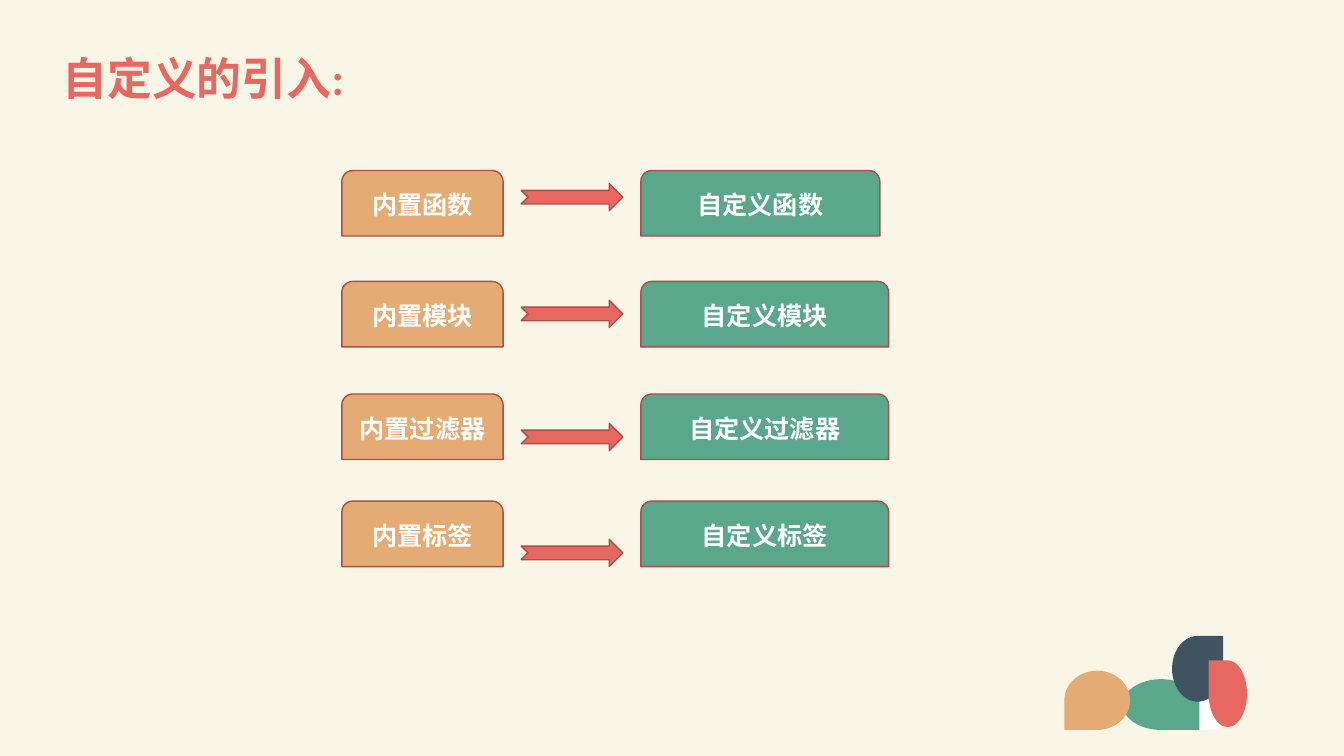
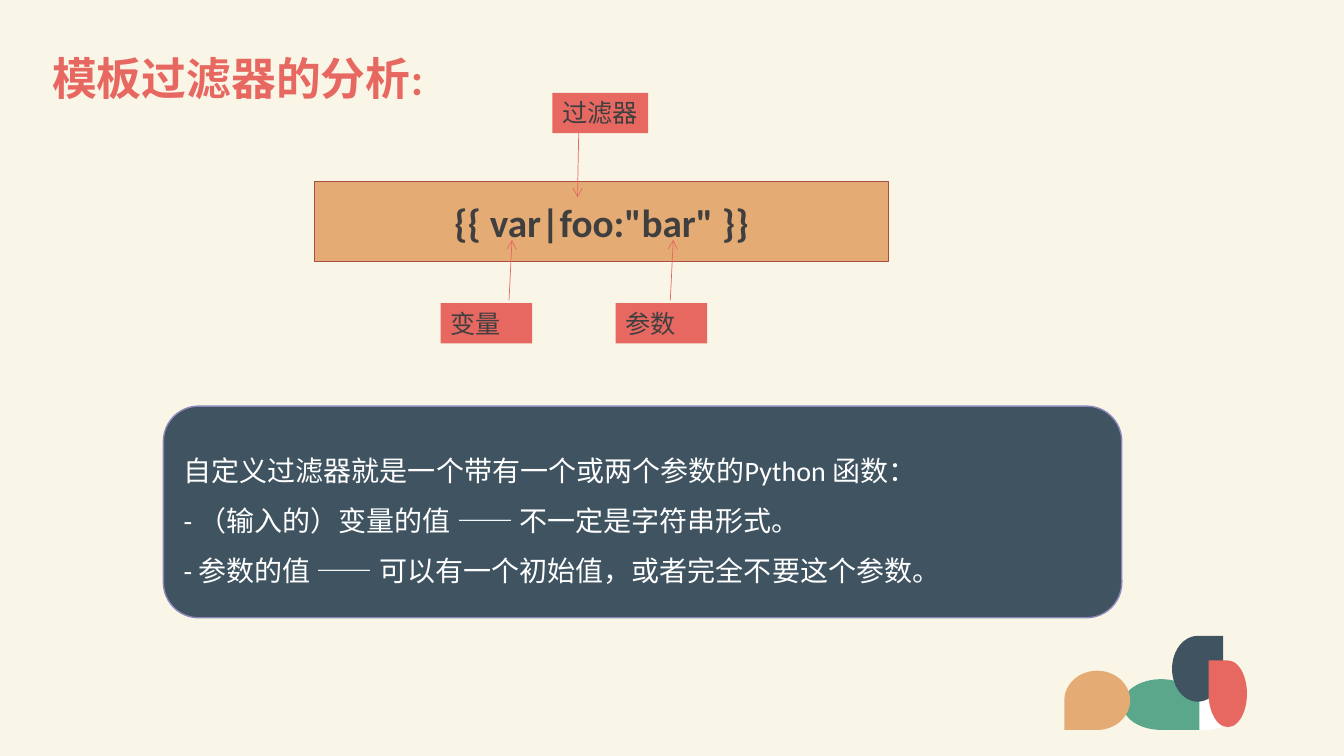
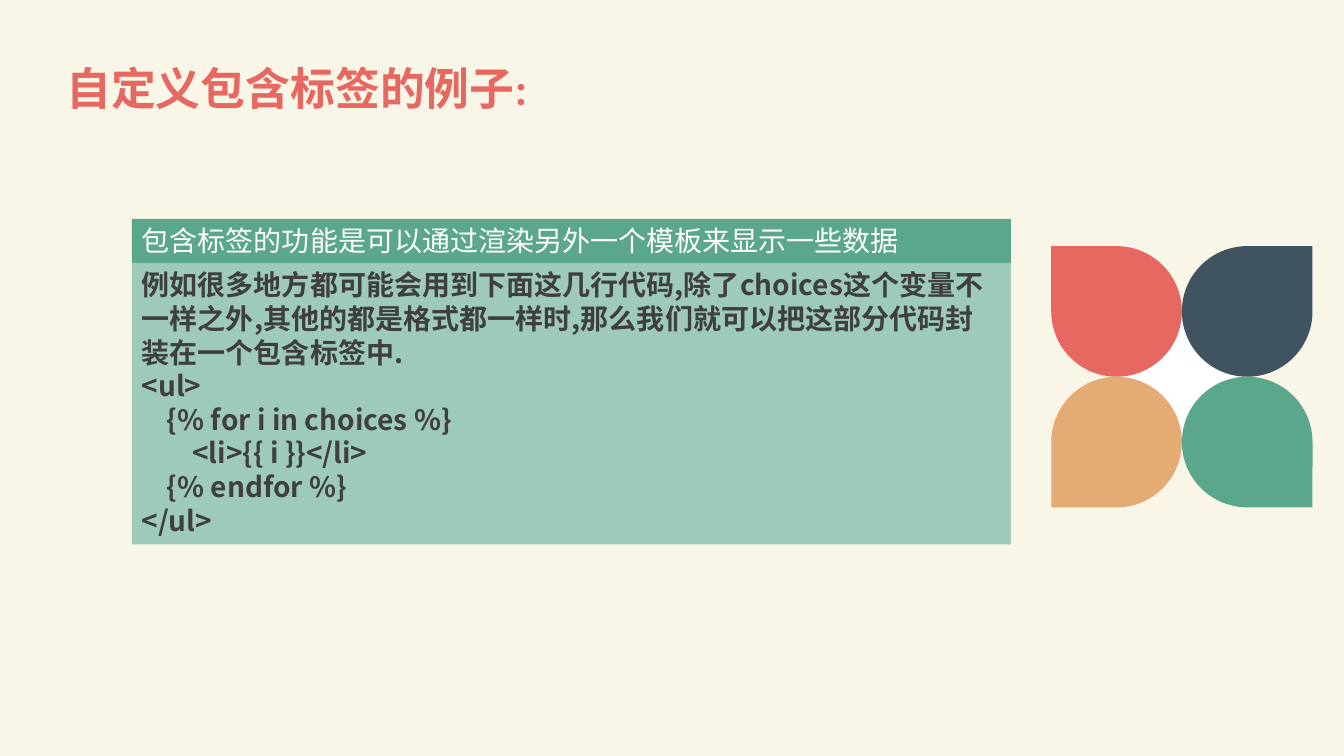
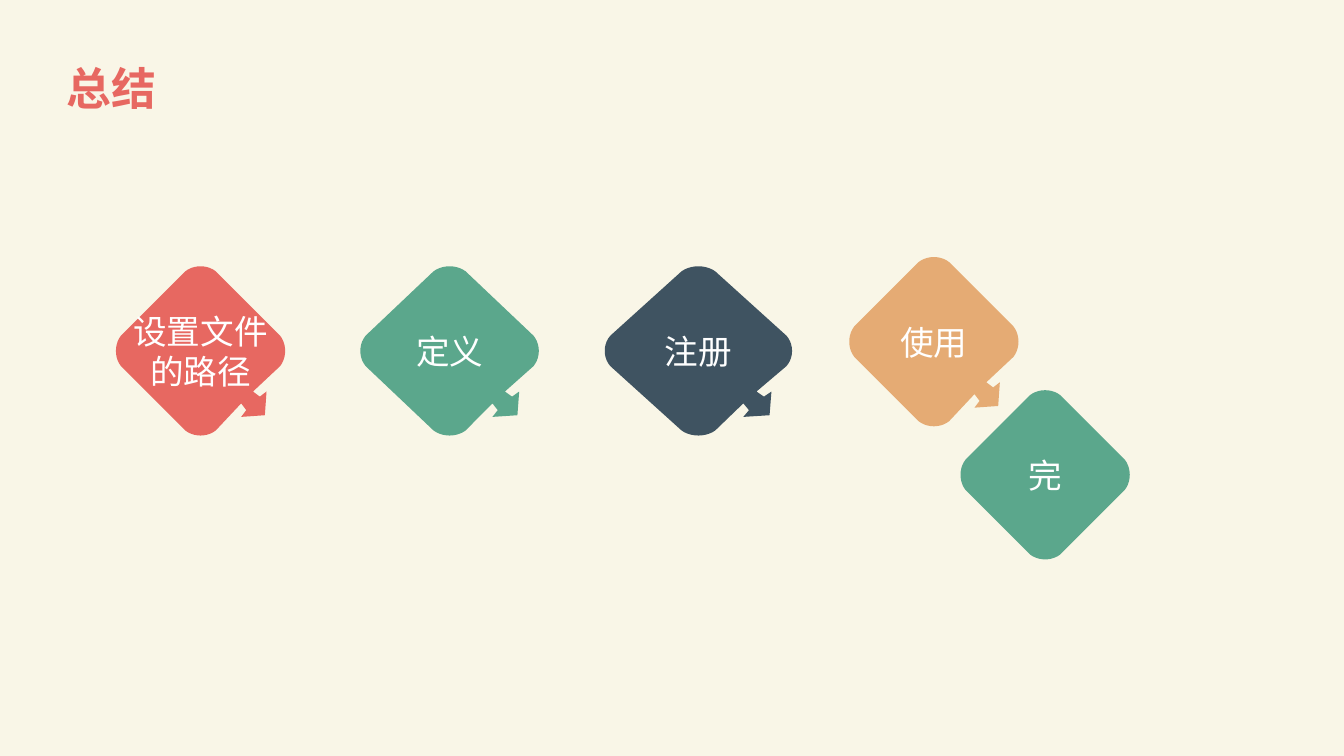
from lxml.etree import SubElement
from pptx import Presentation
from pptx.dml.color import RGBColor
from pptx.enum.shapes import MSO_CONNECTOR, MSO_SHAPE
from pptx.enum.text import MSO_ANCHOR, MSO_AUTO_SIZE, PP_ALIGN
from pptx.oxml.ns import qn
from pptx.util import Emu, Pt

COLORS = {
    "cream": "F9F6E7", "white": "FFFFFF", "ink": "3F3F3F",
    "coral": "E76861", "green": "5BA78C", "mint": "9DCABA",
    "navy": "3F5361", "sand": "E5AB74", "brick": "AB4D48", "lilac": "8D86BA",
}

# The slide is a grid of 32 columns by 18 rows of square cells.
COLUMNS, ROWS, CELL = 32, 18, 381000

# Rotation that turns each petal's tip outwards
PETAL_TURN = {"green": 90, "navy": 0, "coral": 270, "sand": 180}

# Petals and white core, as shares of the cluster's box
CORNER_CLUSTER = {
    "white": (.6, .68, .33, .32), "green": (.32, .46, .42, .54),
    "navy": (.59, 0, .28, .7), "coral": (.79, .26, .21, .71),
    "sand": (0, .37, .36, .63),
}
FLOWER_CLUSTER = {
    "white": (.25, .25, .48, .48), "green": (.5, .5, .5, .5),
    "navy": (.5, 0, .5, .5), "coral": (0, 0, .5, .5),
    "sand": (0, .5, .5, .5),
}
CORNER_BOX = (25.34, 15.14, 4.35, 2.24)
FLOWER_BOX = (25.03, 5.86, 6.22, 6.22)


def rgb(name):
    return RGBColor.from_string(COLORS[name])


def cells(*lengths):
    return [Emu(round(length * CELL)) for length in lengths]


def within(box, shares):
    """Turn shares of a box into a box on the grid."""
    left, top, width, height = box
    x, y, w, h = shares
    return left + x * width, top + y * height, w * width, h * height


def paint(shape, fill, line=None):
    shape.shadow.inherit = False
    shape.fill.solid()
    shape.fill.fore_color.rgb = rgb(fill)
    if line:
        shape.line.color.rgb = rgb(line)
        shape.line.width = Pt(1)
    else:
        shape.line.fill.background()
    return shape


def block(slide, preset, box, fill, line=None):
    return paint(slide.shapes.add_shape(preset, *cells(*box)), fill, line)


def write(shape, text, size, color="white", bold=False, font="Calibri",
          align=PP_ALIGN.CENTER, anchor=MSO_ANCHOR.MIDDLE, spacing=None):
    frame = shape.text_frame
    frame.text = text
    frame.word_wrap = True
    frame.auto_size = MSO_AUTO_SIZE.NONE
    frame.vertical_anchor = anchor
    for paragraph in frame.paragraphs:
        paragraph.alignment = align
        paragraph.line_spacing = spacing
        for run in paragraph.runs:
            run.font.name = font
            run.font.size = Pt(size)
            run.font.bold = bold
            run.font.color.rgb = rgb(color)
    return frame


def titled_slide(deck, title, left, top):
    slide = deck.slides.add_slide(deck.slide_layouts[5])
    heading = slide.shapes.title
    heading.left, heading.top, heading.width, heading.height = cells(
        left, top, 29.5, 2.54)
    write(heading, title, 32, "coral", True, align=PP_ALIGN.LEFT, spacing=.9)
    return slide


def petals(slide, box, cluster):
    for color, shares in cluster.items():
        x, y, w, h = within(box, shares)
        turn = PETAL_TURN.get(color)
        if turn is None:
            block(slide, MSO_SHAPE.OVAL, (x, y, w, h), color)
            continue
        if turn % 180:  # a quarter turn swaps width and height
            x, y, w, h = x + (w - h) / 2, y + (h - w) / 2, h, w
        block(slide, MSO_SHAPE.TEAR, (x, y, w, h), color).rotation = turn


# Built-in thing, arrow, custom thing
def pair_row(slide, box, topic, arrow_drop, custom_width):
    left, top, width, height = box
    custom_left = left + width - 5.9
    for x, w, prefix, color in ((left, 3.84, "内置", "sand"),
                                (custom_left, custom_width, "自定义", "green")):
        card = block(slide, MSO_SHAPE.ROUND_2_SAME_RECTANGLE,
                     (x, top, w, height), color, "brick")
        write(card, prefix + topic, 18, bold=True)
    block(slide, MSO_SHAPE.NOTCHED_RIGHT_ARROW,
          (left + 4.27, top + arrow_drop, 2.42, .65), "coral", "brick")


def pointer(slide, start, end):
    arrow = slide.shapes.add_connector(MSO_CONNECTOR.STRAIGHT,
                                       *cells(*start, *end))
    arrow.line.color.rgb = rgb("coral")
    arrow.line.width = Pt(.5)
    SubElement(arrow.line._get_or_add_ln(), qn("a:tailEnd"), type="arrow")
    SubElement(arrow._element.spPr, qn("a:effectLst"))


# Template expression with its labelled parts
def filter_diagram(slide, box):
    left, top = box[:2]
    formula = block(slide, MSO_SHAPE.RECTANGLE, box, "sand", "brick")
    write(formula, '{{ var|foo:"bar" }}', 28, "ink", True)
    labels = (  # text, tag box, pointer start and end, all from the formula
        ("变量", (3, 2.9, 2.18, .96), (4.63, 2.83), (4.7, 1.39)),
        ("过滤器", (5.66, -2.11, 2.28, .96), (6.29, -1.15), (6.26, .38)),
        ("参数", (7.17, 2.9, 2.18, .96), (8.47, 2.83), (8.54, 1.39)),
    )
    for text, (x, y, w, h), start, end in labels:
        tag = block(slide, MSO_SHAPE.RECTANGLE, (left + x, top + y, w, h),
                    "coral")
        write(tag, text, 18, "ink", align=PP_ALIGN.LEFT, anchor=MSO_ANCHOR.TOP)
        pointer(slide, (left + start[0], top + start[1]),
                (left + end[0], top + end[1]))


def explanation(slide, box, lines):
    note = block(slide, MSO_SHAPE.ROUNDED_RECTANGLE, box, "navy", "lilac")
    write(note, "\n".join(lines), 20, align=PP_ALIGN.LEFT, spacing=1.5)


# Header strip over a code sample; each line carries its indent level
def code_panel(slide, box, header, lines):
    left, top, width, height = box
    strip_height = 1.05
    strip = block(slide, MSO_SHAPE.RECTANGLE,
                  (left, top, width, strip_height), "green")
    write(strip, header, 20, align=PP_ALIGN.LEFT, anchor=MSO_ANCHOR.TOP)
    sample = block(slide, MSO_SHAPE.RECTANGLE,
                   (left, top + strip_height, width, height - strip_height),
                   "mint")
    frame = write(sample, "\n".join(text for _, text in lines), 20, "ink", True,
                  "Noto Sans CJK SC", PP_ALIGN.LEFT, MSO_ANCHOR.TOP)
    for paragraph, (level, _) in zip(frame.paragraphs, lines):
        if level:
            indent = cells(.6 * level)[0]
            paragraph._p.get_or_add_pPr().set("marL", str(indent))


def bezier(points, steps=10):
    a, b, c, d = points
    for step in range(steps + 1):
        t = step / steps
        s = 1 - t
        yield tuple(s**3 * a[i] + 3 * s * s * t * b[i] + 3 * s * t * t * c[i]
                    + t**3 * d[i] for i in (0, 1))


def diamond_outline(with_arrow):
    """Rounded diamond in a unit square, with an optional lower right arrow."""
    corner = [(.41, .03), (.46, -.01), (.54, -.01), (.59, .03)]
    arrow = [(.81, .74), (.85, .77), (.89, .74), (.88, .88),
             (.74, .89), (.77, .85), (.74, .81)]
    outline = []
    for side in range(4):
        outline += bezier(corner)
        if side == 1 and with_arrow:
            outline += arrow
        corner = [(1 - y, x) for x, y in corner]
    return outline


def step_diamond(slide, box, text, color, with_arrow=True):
    left, top, width, height = box
    points = [cells(left + x * width, top + y * height)
              for x, y in diamond_outline(with_arrow)]
    builder = slide.shapes.build_freeform(*points[0])
    builder.add_line_segments(points[1:], close=True)
    write(paint(builder.convert_to_shape(), color), text, 24, font="Arial")


def introduction_slide(deck):
    slide = titled_slide(deck, "自定义的引入:", 1.25, .65)
    petals(slide, CORNER_BOX, CORNER_CLUSTER)
    for topic, top, arrow_drop, custom_width in (
            ("函数", 4.06, .31, 5.69), ("模块", 6.7, .45, 5.9),
            ("过滤器", 9.38, .7, 5.9), ("标签", 11.93, .91, 5.9)):
        pair_row(slide, (8.14, top, 13.02, 1.56), topic, arrow_drop,
                 custom_width)


def filter_slide(deck):
    slide = titled_slide(deck, "模板过滤器的分析:", 1, .65)
    petals(slide, CORNER_BOX, CORNER_CLUSTER)
    explanation(slide, (3.89, 9.67, 22.82, 5.04), (
        "自定义过滤器就是一个带有一个或两个参数的Python 函数：",
        "- （输入的）变量的值 —— 不一定是字符串形式。",
        "- 参数的值 —— 可以有一个初始值，或者完全不要这个参数。",
    ))
    filter_diagram(slide, (7.49, 4.32, 13.66, 1.9))


def inclusion_tag_slide(deck):
    slide = titled_slide(deck, "自定义包含标签的例子:", 1.34, .89)
    petals(slide, FLOWER_BOX, FLOWER_CLUSTER)
    code_panel(
        slide, (3.14, 5.21, 20.93, 7.75),
        "包含标签的功能是可以通过渲染另外一个模板来显示一些数据", (
            (0, "例如很多地方都可能会用到下面这几行代码,除了choices这个变量"
                "不一样之外,其他的都是格式都一样时,那么我们就可以把这部分代码"
                "封装在一个包含标签中."),
            (0, "<ul>"),
            (1, "{% for i in choices %}"),
            (2, "<li>{{ i }}</li>"),
            (1, "{% endfor %}"),
            (0, "</ul>"),
        ))


def summary_slide(deck):
    slide = titled_slide(deck, "总结", 1.34, .89)
    size, first_left, pitch = 4.03, 2.76, 5.82
    steps = (("设置文件的路径", "coral", 6.34, size),
             ("定义", "green", 6.34, 4.25),
             ("注册", "navy", 6.34, 4.46),
             ("使用", "sand", 6.12, size))
    for index, (text, color, top, width) in enumerate(steps):
        step_diamond(slide, (first_left + index * pitch, top, width, size),
                     text, color)
    step_diamond(slide, (22.87, 9.29, size, size), "完", "green", False)


deck = Presentation()
deck.slide_width, deck.slide_height = cells(COLUMNS, ROWS)
backdrop = deck.slide_master.background.fill
backdrop.solid()
backdrop.fore_color.rgb = rgb("cream")
for build in (introduction_slide, filter_slide, inclusion_tag_slide,
              summary_slide):
    build(deck)
deck.save("out.pptx")
